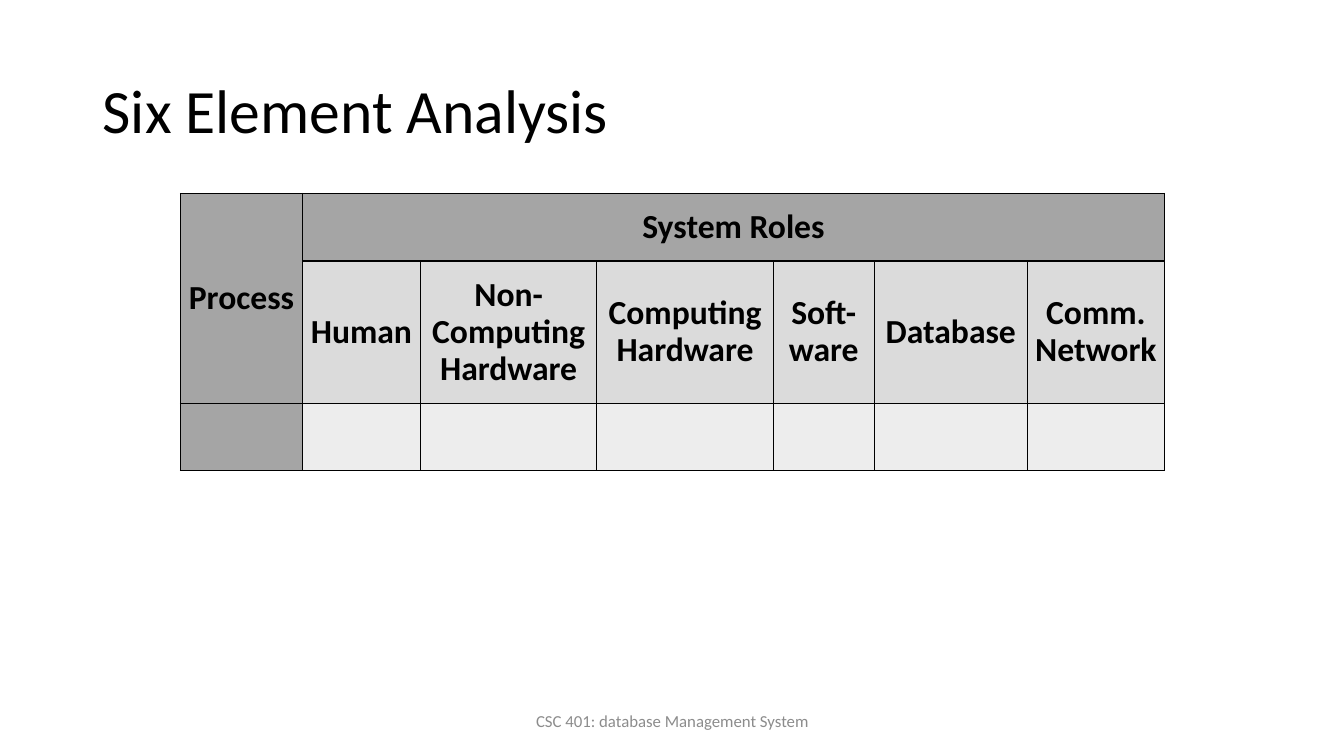
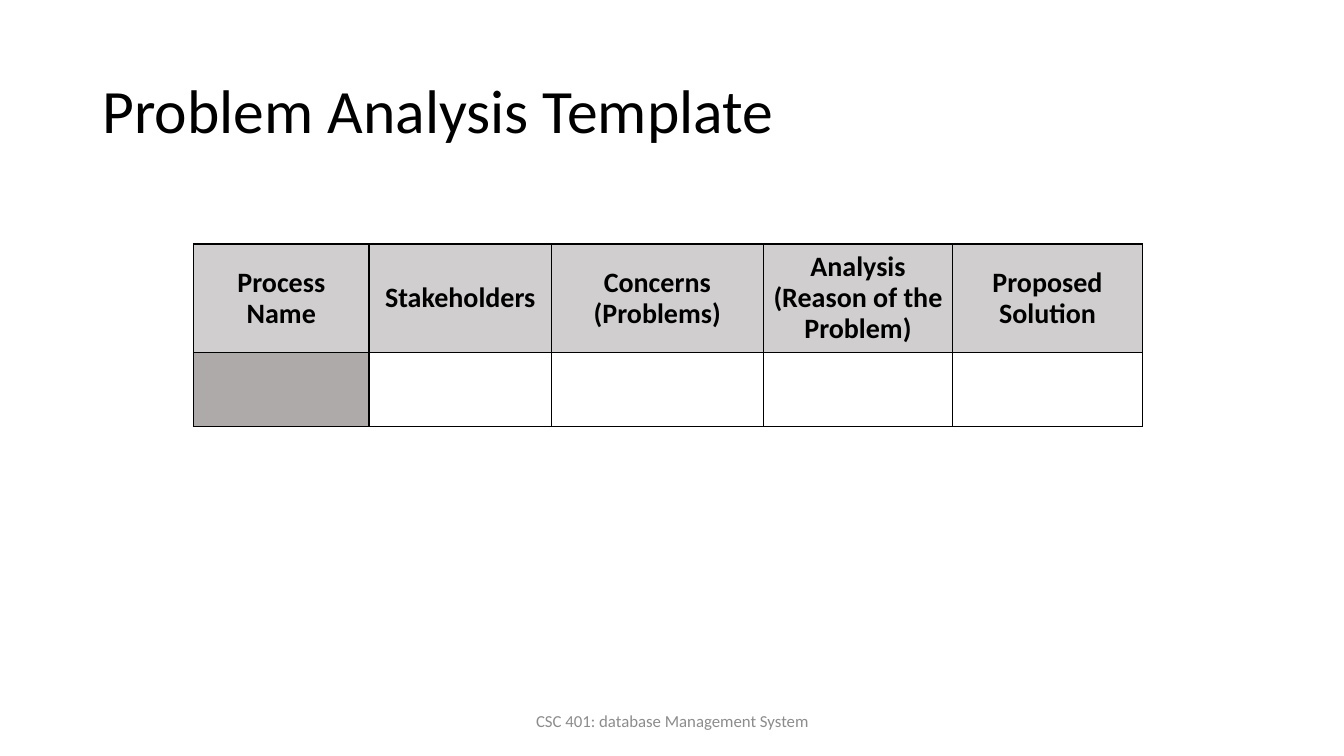
import pptx
import pptx.dml.color
import pptx.enum.text
import pptx.oxml
import pptx.oxml.ns
import pptx.util

Inches = pptx.util.Inches
Pt = pptx.util.Pt
RGBColor = pptx.dml.color.RGBColor
ALIGN = pptx.enum.text.PP_ALIGN
MIDDLE = pptx.enum.text.MSO_ANCHOR.MIDDLE

BLACK = RGBColor(0x00, 0x00, 0x00)
WHITE = RGBColor(0xFF, 0xFF, 0xFF)
MUTED = RGBColor(0x8C, 0x8C, 0x8C)
DARK = RGBColor(0xA5, 0xA5, 0xA5)
MID = RGBColor(0xDB, 0xDB, 0xDB)
PALE = RGBColor(0xED, 0xED, 0xED)
WARM = RGBColor(0xAE, 0xAA, 0xAA)
HEAD = RGBColor(0xD0, 0xCE, 0xCE)

FOOTER = "CSC 401: database Management System"
TITLE_BOX = (0.92, 0.4, 11.5, 1.45)
FOOT_BOX = (4.42, 6.95, 4.5, 0.4)
TITLE = {"size": Pt(44), "bold": False, "color": BLACK}
FOOT = {"size": Pt(12), "bold": False, "color": MUTED}
LEFT = {"alignment": ALIGN.LEFT, "line_spacing": 0.9}
CENTER = {"alignment": ALIGN.CENTER, "line_spacing": 0.9}
PLAIN = {"alignment": ALIGN.CENTER}
INSET = {"margin_left": Inches(0.07), "margin_right": Inches(0.07),
         "margin_top": 0, "margin_bottom": 0, "vertical_anchor": MIDDLE}
BARE = {"first_row": False, "horz_banding": False}
BORDER = ('<a:{} {} w="12700"><a:solidFill><a:srgbClr val="000000"/>'
          '</a:solidFill></a:{}>')

SLIDES = [
    {"title": "Six Element Analysis", "at": (1.79, 1.92), "size": 24,
     "cols": [1.21, 1.17, 1.75, 1.75, 1, 1.52, 1.36],
     "rows": [0.67, 1.41, 0.67],
     "text": [["Process", "System Roles"],
              ["", "Human", "Non-Computing Hardware", "Computing Hardware",
               "Soft-\nware", "Database", "Comm. Network"],
              []],
     "fills": [(DARK, DARK), (DARK, MID), (DARK, PALE)],
     "spans": [((0, 0), (1, 0)), ((0, 1), (0, 6))]},
    {"title": "Problem Analysis Template", "at": (1.92, 2.42), "size": 20,
     "cols": [1.74, 1.81, 2.1, 1.88, 1.88],
     "rows": [1.08, 0.73],
     "text": [["Process Name", "Stakeholders", "Concerns (Problems)",
               "Analysis (Reason of the Problem)", "Proposed Solution"],
              []],
     "fills": [(HEAD, HEAD), (WARM, WHITE)],
     "spans": []},
]


def put(item, form):
    for name, value in form.items():
        setattr(item, name, value)


def write(frame, text, font, para):
    """Fill a text frame and format each of its paragraphs."""
    frame.word_wrap = True
    frame.text = text
    for line in frame.paragraphs:
        put(line, para)
        for run in line.runs:
            run.font.name = "Calibri"
            run.font.size = font["size"]
            run.font.bold = font["bold"]
            run.font.color.rgb = font["color"]


deck = pptx.Presentation()
deck.slide_width = Inches(13.33)
deck.slide_height = Inches(7.5)

for page in SLIDES:
    slide = deck.slides.add_slide(deck.slide_layouts[6])
    for text, place, font, para in [(page["title"], TITLE_BOX, TITLE, LEFT),
                                    (FOOTER, FOOT_BOX, FOOT, PLAIN)]:
        box = slide.shapes.add_textbox(*map(Inches, place))
        box.text_frame.vertical_anchor = MIDDLE
        write(box.text_frame, text, font, para)

    cols, rows = page["cols"], page["rows"]
    area = (*page["at"], sum(cols), sum(rows))
    table = slide.shapes.add_table(len(rows), len(cols),
                                   *map(Inches, area)).table
    put(table, BARE)
    for col, width in zip(table.columns, cols):
        col.width = Inches(width)
    for row, height in zip(table.rows, rows):
        row.height = Inches(height)

    font = {"size": Pt(page["size"]), "bold": True, "color": BLACK}
    for r, (words, (first, rest)) in enumerate(zip(page["text"], page["fills"])):
        for c in range(len(cols)):
            cell = table.cell(r, c)
            put(cell, INSET)
            props = cell._tc.get_or_add_tcPr()
            for side in ("lnL", "lnR", "lnT", "lnB"):
                props.append(pptx.oxml.parse_xml(
                    BORDER.format(side, pptx.oxml.ns.nsdecls("a"), side)))
            cell.fill.solid()
            cell.fill.fore_color.rgb = rest if c else first
            if c < len(words):
                write(cell.text_frame, words[c], font, CENTER)
    for start, end in page["spans"]:
        table.cell(*start).merge(table.cell(*end))

deck.save("out.pptx")
